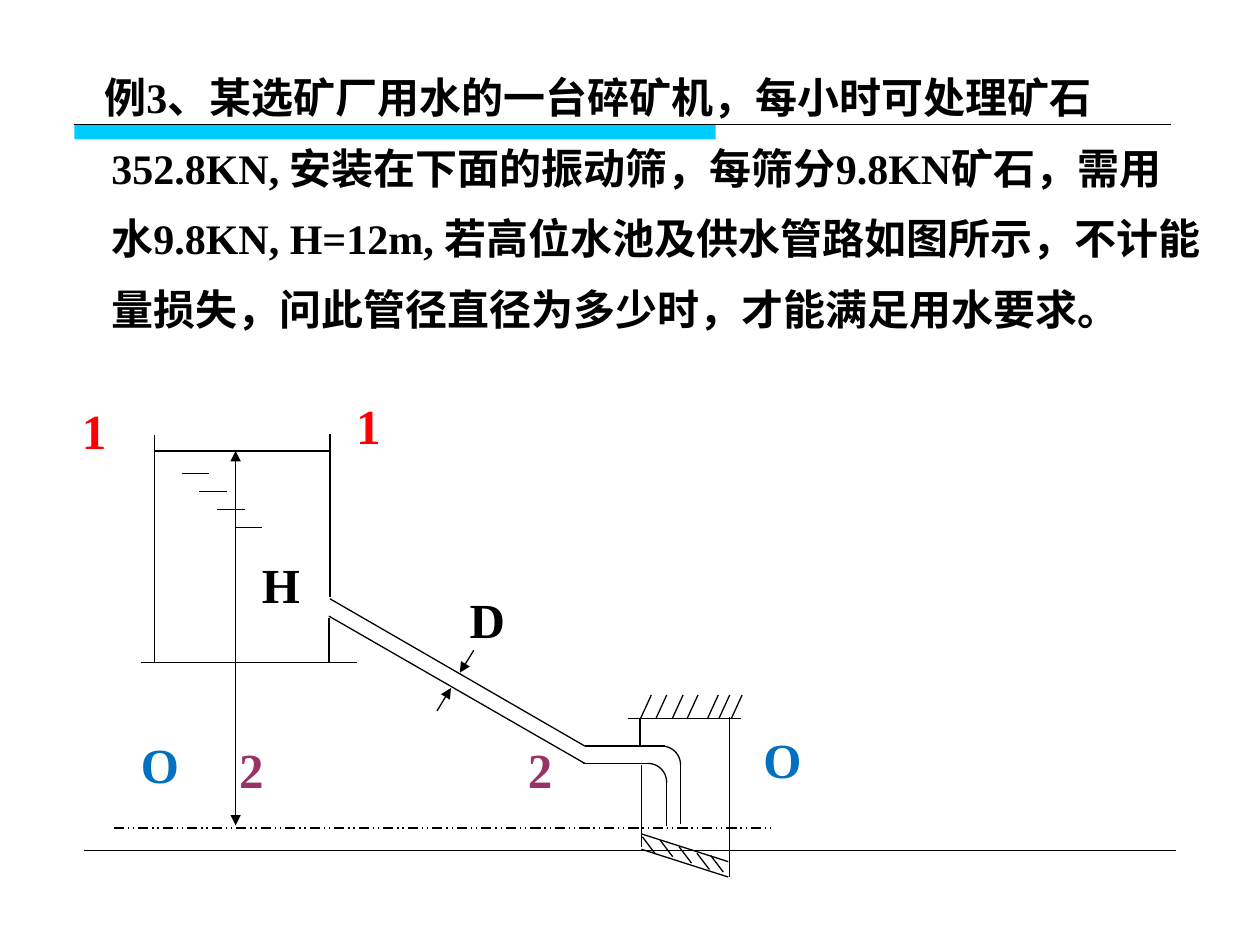
import math
from lxml import etree
from pptx import Presentation
from pptx.dml.color import RGBColor
from pptx.enum import dml, shapes, text
from pptx.oxml import ns
from pptx.util import Cm, Pt

FONT = "Times New Roman"
HUES = {
    "ink": "000000",
    "bar": "00CCFF",
    "red": "FF0000",
    "blue": "0070C0",
    "plum": "993366",
}
TASK = (
    "例3、某选矿厂用水的一台碎矿机，每小时可处理矿石352.8KN, 安装在下面的振动筛，"
    "每筛分9.8KN矿石，需用水9.8KN, H=12m, 若高位水池及供水管路如图所示，"
    "不计能量损失，问此管径直径为多少时，才能满足用水要求。"
)
TANK = [
    (3.12, 9.09, 6.65, 9.09),
    (7.19, 13.36, 2.84, 13.36),
    (6.65, 8.74, 6.65, 12.04),
    (6.63, 12.45, 6.63, 13.36),
    (3.12, 8.76, 3.12, 13.34),
]
PIPE = [
    (6.65, 12.07, 11.79, 15.04),
    (6.63, 12.42, 11.79, 15.39),
    (11.79, 15.04, 13.41, 15.04),
    (11.76, 15.39, 13.11, 15.39),
    (13.44, 15.75, 13.44, 16.66),
    (13.72, 15.39, 13.72, 16.61),
]
SCREEN = [
    (12.65, 14.48, 14.94, 14.48),
    (12.9, 14.5, 12.9, 15.06),
    (12.93, 15.42, 12.93, 17.07),
    (14.71, 14.45, 14.71, 17.68),
    (12.93, 16.81, 14.68, 17.37),
    (12.93, 17.12, 14.68, 17.68),
]
ROOF = [13.13, 13.44, 13.77, 14.07, 14.48, 14.71, 14.96]
SIEVE = [(12.95, 16.87), (13.31, 16.94), (13.69, 17.07), (14.05, 17.2), (14.33, 17.25)]
LABELS = [
    ("H", 5.03, 10.95, "ink"),
    ("D", 9.22, 11.66, "ink"),
    ("1", 6.93, 7.75, "red"),
    ("1", 1.4, 7.85, "red"),
    ("O", 2.59, 14.58, "blue"),
    ("O", 15.14, 14.48, "blue"),
    ("2", 4.57, 14.68, "plum"),
    ("2", 10.39, 14.68, "plum"),
]


def color(name):
    return RGBColor.from_string(HUES[name])


def add_line(slide, ends, width=0.75, tips=()):
    line = slide.shapes.add_connector(
        shapes.MSO_CONNECTOR.STRAIGHT, *[Cm(n) for n in ends]
    )
    line.line.color.rgb = color("ink")
    line.line.width = Pt(width)
    props = line._element.spPr.find(ns.qn("a:ln"))
    for tip in tips:
        etree.SubElement(props, ns.qn(f"a:{tip}"), type="triangle")
    etree.SubElement(line._element.spPr, ns.qn("a:effectLst"))
    return line


def add_lines(slide, rows):
    for ends in rows:
        add_line(slide, ends)


def add_bend(slide, left, top, size=0.38, steps=16):
    turns = [math.pi / 2 * n / steps for n in range(steps + 1)]
    dots = [
        (Cm(left + size * math.sin(a)), Cm(top + size * (1 - math.cos(a))))
        for a in turns
    ]
    form = slide.shapes.build_freeform(*dots[0])
    form.add_line_segments(dots[1:], close=False)
    bend = form.convert_to_shape()
    bend.shadow.inherit = False
    bend.fill.background()
    bend.line.color.rgb = color("ink")
    bend.line.width = Pt(0.75)


def add_run(para, words, size, hue):
    run = para.add_run()
    run.text = words
    font = run.font
    font.name, font.size, font.bold = FONT, Pt(size), True
    font.color.rgb = color(hue)


def add_label(slide, words, left, top, hue):
    box = slide.shapes.add_textbox(Cm(left), Cm(top), Cm(1.55), Cm(1.8))
    frame = box.text_frame
    frame.word_wrap = True
    frame.margin_top = Cm(0.23)
    para = frame.paragraphs[0]
    para.alignment = text.PP_ALIGN.JUSTIFY
    add_run(para, words, 28, hue)


def add_rule(slide):
    bar = slide.shapes.add_shape(
        shapes.MSO_SHAPE.RECTANGLE, Cm(1.5), Cm(2.51), Cm(12.93), Cm(0.3)
    )
    bar.shadow.inherit = False
    bar.fill.solid()
    bar.fill.fore_color.rgb = color("bar")
    bar.line.fill.background()
    add_line(slide, (1.5, 2.51, 23.6, 2.51))
    add_line(slide, (1.7, 17.15, 23.7, 17.15), width=0.25)


def fill_body(slide):
    title = slide.shapes.title._element
    title.getparent().remove(title)
    body = slide.placeholders[1]
    body.left, body.top = Cm(0.69), Cm(0.91)
    body.width, body.height = Cm(23.8), Cm(6.2)
    frame = body.text_frame
    frame.word_wrap = True
    frame.auto_size = text.MSO_AUTO_SIZE.NONE
    frame.vertical_anchor = text.MSO_ANCHOR.TOP
    para = frame.paragraphs[0]
    para.line_spacing = 1.4
    para.space_before = Pt(0)
    props = para._p.get_or_add_pPr()
    props.set("marL", str(Cm(1.3)))
    props.set("indent", str(Cm(-0.14)))
    etree.SubElement(props, ns.qn("a:buNone"))
    add_run(para, TASK, 24, "ink")


def draw_plant(slide):
    add_lines(slide, TANK + PIPE + SCREEN)
    waves = [(3.66 + 0.36 * n, 9.55 + 0.36 * n) for n in range(4)]
    add_lines(slide, [(x, y, x + 0.55, y) for x, y in waves])
    add_lines(slide, [(x, 14.01, x - 0.22, 14.49) for x in ROOF])
    add_lines(slide, [(x, y, x + 0.25, y + 0.33) for x, y in SIEVE])
    add_bend(slide, 13.06, 15.39)
    add_bend(slide, 13.34, 15.04)
    datum = add_line(slide, (2.29, 16.69, 15.57, 16.69))
    datum.line.dash_style = dml.MSO_LINE.DASH_DOT_DOT
    add_line(slide, (4.75, 9.09, 4.75, 16.64), tips=("headEnd", "tailEnd"))
    for ends in [(8.81, 14.33, 9.09, 13.87), (9.55, 13.11, 9.27, 13.56)]:
        add_line(slide, ends, tips=("tailEnd",))


def main():
    deck = Presentation()
    deck.slide_width, deck.slide_height = Cm(25.4), Cm(19.05)
    slide = deck.slides.add_slide(deck.slide_layouts[1])
    add_rule(slide)
    fill_body(slide)
    draw_plant(slide)
    for label in LABELS:
        add_label(slide, *label)
    deck.save("out.pptx")


if __name__ == "__main__":
    main()
